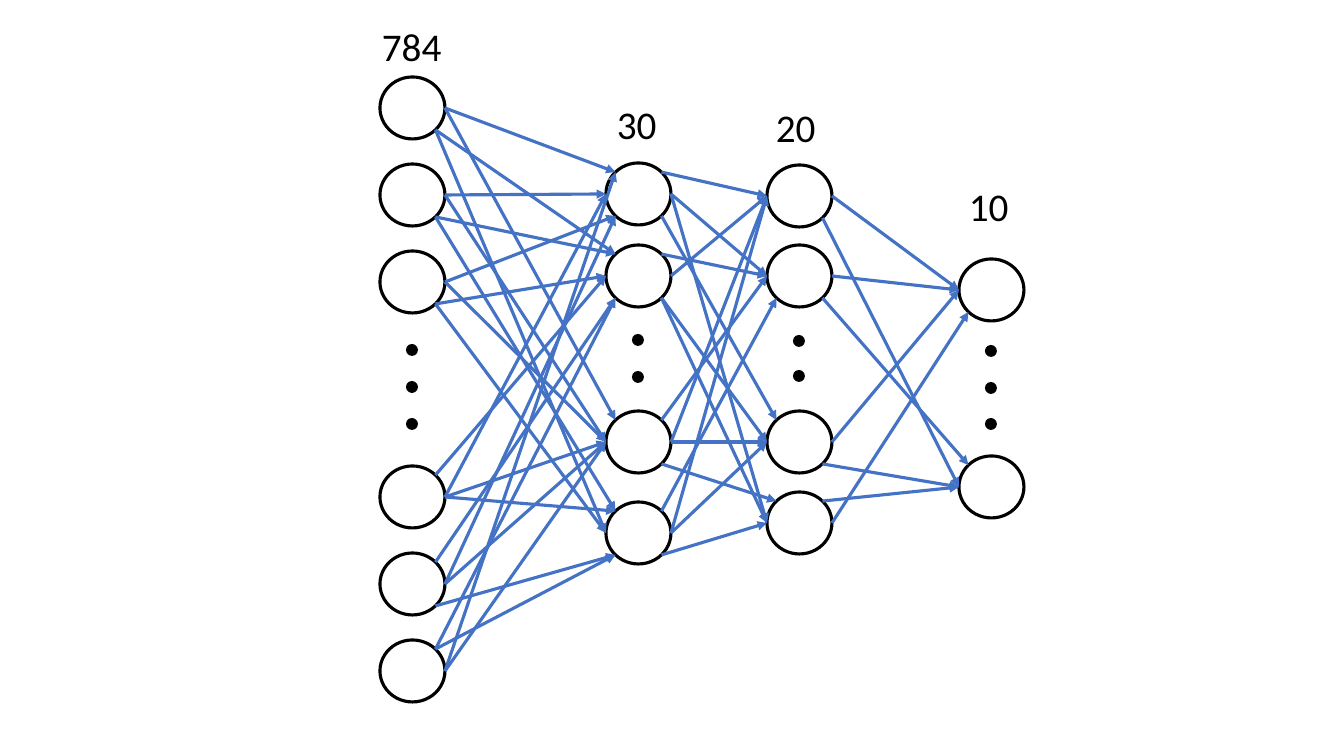
"""Builds a slide with a layered 784-30-20-10 neural network diagram."""
from itertools import pairwise
from math import sqrt

from lxml import etree
from pptx import Presentation
from pptx.dml.color import RGBColor
from pptx.enum.shapes import MSO_CONNECTOR, MSO_SHAPE
from pptx.enum.text import MSO_AUTO_SIZE
from pptx.oxml.ns import qn
from pptx.util import Emu, Pt

ELLIPSE = MSO_SHAPE.OVAL
STRAIGHT = MSO_CONNECTOR.STRAIGHT
GROW_TO_TEXT = MSO_AUTO_SIZE.SHAPE_TO_FIT_TEXT
BLACK = "000000"
BLUE = "4472C4"
LINE_WIDTH = Pt(2.25)
NODE_WIDTH, NODE_HEIGHT = 65, 62
DOT_SIZE, DOT_OFFSET = 12, 26
LABEL_HEIGHT = 57

LAYERS = [
    {"label": "784", "label_box": (372, 17, 88), "left": 380,
     "nodes": [77, 164, 251, 466, 553, 640], "dots": [344, 381, 418]},
    {"label": "30", "label_box": (607, 95, 65), "left": 606,
     "nodes": [163, 245, 411, 502], "dots": [334, 371]},
    {"label": "20", "label_box": (766, 98, 65), "left": 767,
     "nodes": [165, 245, 411, 492], "dots": [335, 370]},
    {"label": "10", "label_box": (959, 177, 65), "left": 959,
     "nodes": [259, 456], "dots": [345, 382, 418]},
]

DIAGONAL = sqrt(0.5)
SITES = {
    "1": (-DIAGONAL, -DIAGONAL), "2": (-1, 0), "3": (-DIAGONAL, DIAGONAL),
    "5": (DIAGONAL, DIAGONAL), "6": (1, 0), "7": (DIAGONAL, -DIAGONAL),
}
LINK_SITES = [
    ["61 62 63 62 63 61", "51 51 52 72 73 73", "61 62 62 62 62 62", "52 51 52 61 53 73"],
    ["72 62 62 62", "62 72 72 73", "51 52 62 62", "62 52 51 52"],
    ["62 62 62 63", "52 51 52 72"],
]


def pixels(length):
    return Emu(round(length * 914400 / 100.8))


def add_ellipse(left, top, width, height):
    ellipse = slide.shapes.add_shape(
        ELLIPSE, pixels(left), pixels(top), pixels(width), pixels(height))
    ellipse.shadow.inherit = False
    return ellipse


presentation = Presentation()
presentation.slide_width = pixels(1344)
presentation.slide_height = pixels(756)
slide = presentation.slides.add_slide(presentation.slide_layouts[6])

node_layers = []
for layer in LAYERS:
    nodes = []
    for top in layer["nodes"]:
        node = add_ellipse(layer["left"], top, NODE_WIDTH, NODE_HEIGHT)
        node.fill.background()
        node.line.color.rgb = RGBColor.from_string(BLACK)
        node.line.width = LINE_WIDTH
        nodes.append(node)
    node_layers.append(nodes)

    for top in layer["dots"]:
        dot = add_ellipse(layer["left"] + DOT_OFFSET, top, DOT_SIZE, DOT_SIZE)
        dot.fill.solid()
        dot.fill.fore_color.rgb = RGBColor.from_string(BLACK)
        dot.line.fill.background()

    left, top, width = layer["label_box"]
    label = slide.shapes.add_textbox(
        pixels(left), pixels(top), pixels(width), pixels(LABEL_HEIGHT))
    label.text_frame.word_wrap = True
    label.text_frame.auto_size = GROW_TO_TEXT
    run = label.text_frame.paragraphs[0].add_run()
    run.text = layer["label"]
    run.font.name = "Calibri"
    run.font.size = Pt(28)
    run.font.color.rgb = RGBColor.from_string(BLACK)

for (sources, targets), site_rows in zip(pairwise(node_layers), LINK_SITES):
    for target, site_row in zip(targets, site_rows):
        for source, sites in zip(sources, site_row.split()):
            ends = []
            for node, site in zip((source, target), sites):
                across, down = SITES[site]
                ends.append(Emu(round(node.left + node.width * (1 + across) / 2)))
                ends.append(Emu(round(node.top + node.height * (1 + down) / 2)))
            link = slide.shapes.add_connector(STRAIGHT, *ends)
            link.line.color.rgb = RGBColor.from_string(BLUE)
            link.line.width = LINE_WIDTH
            line_element = link.line.fill._xPr
            etree.SubElement(line_element, qn("a:tailEnd"), type="triangle")
            etree.SubElement(link._element.spPr, qn("a:effectLst"))
            glue = link._element.find(".//" + qn("p:cNvCxnSpPr"))
            for tag, node, site in zip(("a:stCxn", "a:endCxn"), (source, target), sites):
                etree.SubElement(glue, qn(tag), id=str(node.shape_id), idx=site)

presentation.save("out.pptx")
